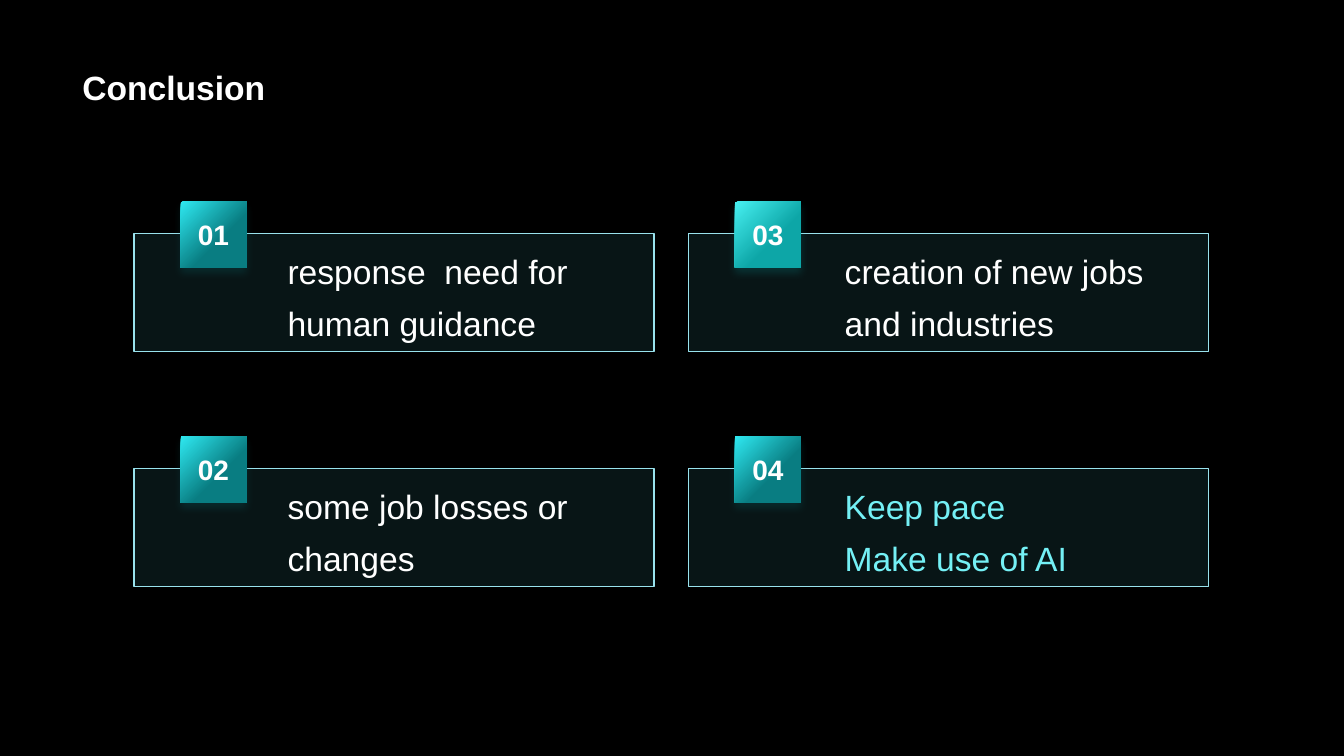
"""Build the conclusion slide with four numbered cards."""
from lxml import etree
from pptx import Presentation
from pptx.dml.color import RGBColor
from pptx.enum import shapes, text
from pptx.oxml.ns import qn
from pptx.util import Pt

COLORS = {
    "background": "000000",
    "white": "FFFFFF",
    "accent": "74F0F5",
    "card": "55CFE1",
    "border": "99E2ED",
    "badge_light": "2FE9F1",
    "badge_dark": "097D82",
    "bright_light": "47F0F1",
    "bright_dark": "0DA6A7",
}
FONT = "Arial"
COLUMN_STEP, ROW_STEP = 396, 167.8
CARDS = [
    ("01", ["response  need for human guidance"], "white", "badge"),
    ("02", ["some job losses or changes"], "white", "badge"),
    ("03", ["creation of new jobs and industries"], "white", "bright"),
    ("04", ["Keep pace", "Make use of AI"], "accent", "badge"),
]


def rgb(name):
    """Return the named colour."""
    return RGBColor.from_string(COLORS[name])


def add_run(paragraph, content, size, color, bold=False):
    """Add one formatted run to a paragraph."""
    run = paragraph.add_run()
    run.text = content
    run.font.name = FONT
    run.font.size = Pt(size)
    run.font.bold = bold
    run.font.color.rgb = rgb(color)


def add_alpha(color_element, percent):
    """Set the opacity of a colour element."""
    etree.SubElement(color_element, qn("a:alpha"), val=str(percent * 1000))


def add_text(slide, box, lines, color, spacing, bold=False, anchor=text.MSO_ANCHOR.TOP):
    """Add a wrapped text box with one paragraph per line."""
    frame = slide.shapes.add_textbox(*map(Pt, box)).text_frame
    frame.word_wrap = True
    frame.vertical_anchor = anchor
    for index, line in enumerate(lines):
        paragraph = frame.add_paragraph() if index else frame.paragraphs[0]
        paragraph.line_spacing = spacing
        add_run(paragraph, line, 24, color, bold)


def add_rectangle(slide, box):
    """Add a rectangle without a shadow."""
    shape = slide.shapes.add_shape(shapes.MSO_SHAPE.RECTANGLE, *map(Pt, box))
    shape.shadow.inherit = False
    return shape


def add_panel(slide, left, top):
    """Add the translucent outlined panel of a card."""
    panel = add_rectangle(slide, (left, top, 371.5, 84.2))
    panel.fill.solid()
    panel.fill.fore_color.rgb = rgb("card")
    add_alpha(panel.element.spPr.find(qn("a:solidFill"))[0], 10)
    panel.line.color.rgb = rgb("border")
    panel.line.width = Pt(1)


def add_badge(slide, left, top, number, style):
    """Add a gradient number badge with a soft shadow."""
    badge = add_rectangle(slide, (left, top, 47, 47))
    badge.line.fill.background()
    badge.fill.gradient()
    badge.fill.gradient_angle = 315
    stops = badge.fill.gradient_stops
    for stop, position, tone in zip(stops, (0, 0.6), ("light", "dark")):
        stop.position = position
        stop.color.rgb = rgb(f"{style}_{tone}")
    effects = badge.element.spPr.find(qn("a:effectLst"))
    shadow = etree.SubElement(
        effects, qn("a:outerShdw"), blurRad=str(Pt(6)), dist=str(Pt(4)),
        dir="5400000", algn="t", rotWithShape="0")
    color = etree.SubElement(shadow, qn("a:srgbClr"), val=COLORS[f"{style}_dark"])
    add_alpha(color, 20)
    frame = badge.text_frame
    frame.word_wrap = False
    frame.vertical_anchor = text.MSO_ANCHOR.MIDDLE
    paragraph = frame.paragraphs[0]
    paragraph.alignment = text.PP_ALIGN.CENTER
    add_run(paragraph, number, 20, "white", True)


def add_card(slide, index, number, lines, color, style):
    """Add one card, filling the grid column by column."""
    column, row = divmod(index, 2)
    left, top = 95.8 + column * COLUMN_STEP, 167 + row * ROW_STEP
    add_panel(slide, left, top)
    add_badge(slide, left + 33.2, top - 23, number, style)
    add_text(slide, (left + 102.5 + 2 * column, top, 242, 83), lines, color, 1.3)


def main():
    """Create and save the presentation."""
    presentation = Presentation()
    presentation.slide_width, presentation.slide_height = Pt(960), Pt(540)
    slide = presentation.slides.add_slide(presentation.slide_layouts[6])
    slide.background.fill.solid()
    slide.background.fill.fore_color.rgb = rgb("background")
    add_text(slide, (51.8, 0, 855.4, 80.6), ["Conclusion"], "white", 0.9, True,
             text.MSO_ANCHOR.BOTTOM)
    for index, card in enumerate(CARDS):
        add_card(slide, index, *card)
    presentation.save("out.pptx")


if __name__ == "__main__":
    main()
